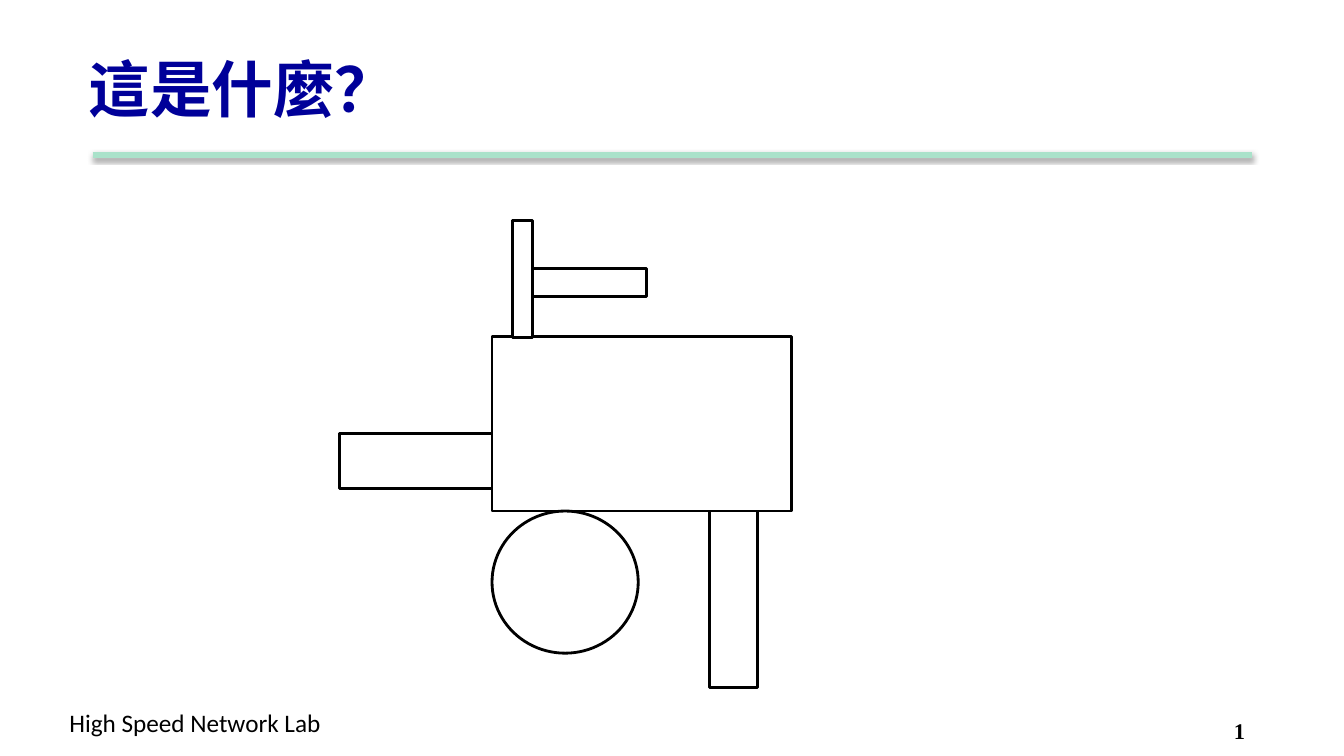
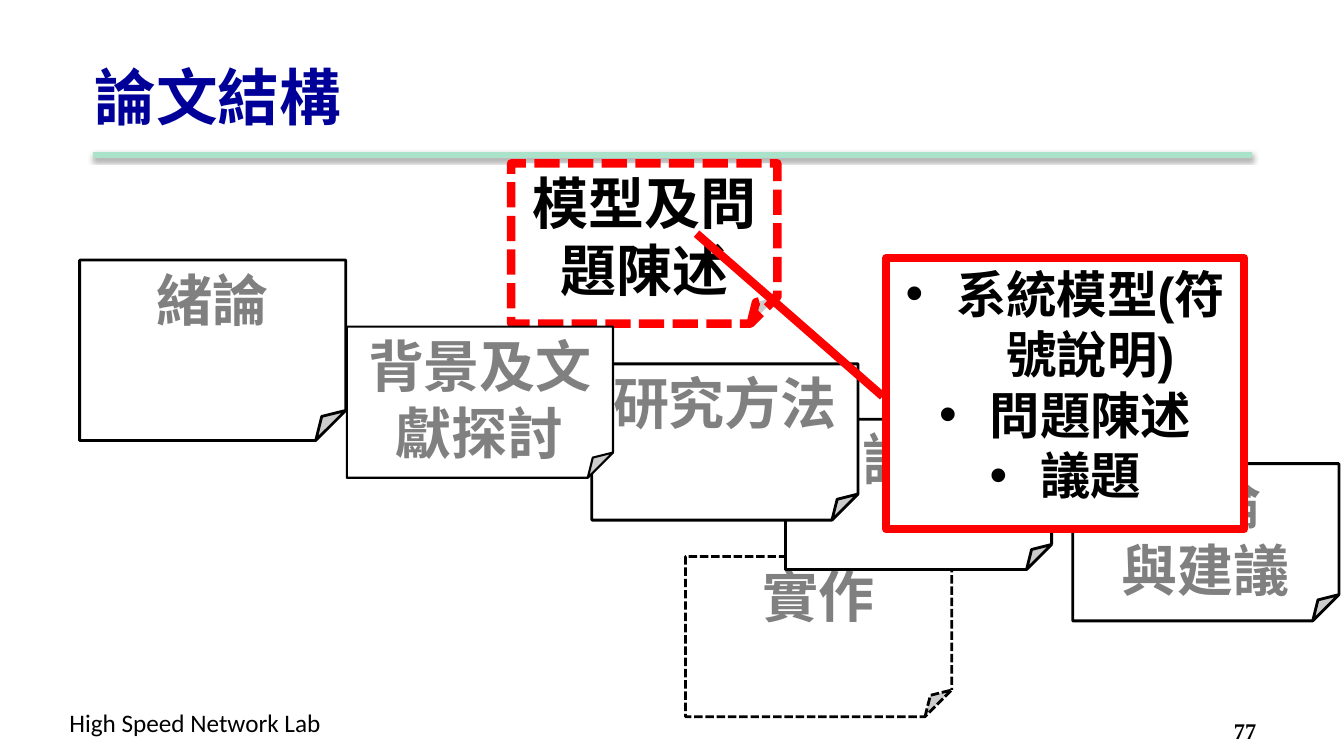
from dataclasses import dataclass

from lxml import etree
from pptx import Presentation
from pptx import util as u
from pptx.dml import color
from pptx.enum import dml, shapes, text
from pptx.oxml import ns

KIND = shapes.MSO_SHAPE


@dataclass(frozen=True)
class Theme:
    ink: str = "000000"
    paper: str = "FFFFFF"
    navy: str = "000099"
    mint: str = "AAE2CA"
    dim: str = "808080"
    red: str = "FF0000"
    serif: str = "Times New Roman"
    sans: str = "Arial"
    foot: str = "Calibri"
    title: int = 44
    note: int = 40
    point: int = 36
    small: int = 18
    page: int = 16


T = Theme()


def rgb(code):
    return color.RGBColor.from_string(code)


def sub(parent, tag, **attrs):
    return etree.SubElement(parent, ns.qn(tag), attrs)


def write(shape, lines, size, font, tint=T.ink, bold=True, align=None,
          anchor=text.MSO_ANCHOR.TOP, wrap=True, bullet=None):
    frame = shape.text_frame
    frame.word_wrap = wrap
    frame.vertical_anchor = anchor
    frame.text = lines
    for para in frame.paragraphs:
        para.alignment = align
        if bullet:
            props = para._p.get_or_add_pPr()
            props.set("marL", str(u.Inches(0.5)))
            props.set("indent", str(u.Inches(-0.5)))
            sub(props, "a:buFont", typeface=T.sans)
            sub(props, "a:buChar", char=bullet)
        for run in para.runs:
            run.font.size = u.Pt(size)
            run.font.name = font
            run.font.bold = bold
            run.font.color.rgb = rgb(tint)


class Deck:
    def __init__(self):
        self.prs = Presentation()
        self.prs.slide_width = u.Inches(13.33)
        self.prs.slide_height = u.Inches(7.5)
        self.slide = None

    def page(self, title, number, left, top):
        self.slide = self.prs.slides.add_slide(self.prs.slide_layouts[6])
        self.rule()
        self.label("High Speed Network Lab", (0.59, 6.97, 2.79, 0.4),
                   size=T.small, font=T.foot, bold=False, wrap=False)
        self.label(number, (12.14, 7.07, 0.99, 0.3),
                   size=T.page, font=T.serif)
        self.label(title, (left, top, 11.33, 1.25), size=T.title,
                   font=T.serif, tint=T.navy, anchor=text.MSO_ANCHOR.MIDDLE)

    def rule(self):
        line = self.slide.shapes.add_connector(
            shapes.MSO_CONNECTOR.STRAIGHT,
            *map(u.Inches, (0.92, 1.54, 12.42, 1.54)))
        line.line.color.rgb = rgb(T.mint)
        line.line.width = u.Pt(4.5)
        effects = sub(line._element.spPr, "a:effectLst")
        shade = sub(effects, "a:outerShdw", blurRad=str(u.Pt(3.1)),
                    dist=str(u.Pt(1.6)), dir="5400000", rotWithShape="0")
        tone = sub(shade, "a:srgbClr", val=T.ink)
        sub(tone, "a:alpha", val="38000")

    def label(self, words, box, **style):
        area = self.slide.shapes.add_textbox(*map(u.Inches, box))
        write(area, words, **style)

    def shape(self, kind, box, edge=T.ink, width=2, dash=False):
        item = self.slide.shapes.add_shape(kind, *map(u.Inches, box))
        item.shadow.inherit = False
        item.fill.solid()
        item.fill.fore_color.rgb = rgb(T.paper)
        item.line.color.rgb = rgb(edge)
        item.line.width = u.Pt(width)
        if dash:
            item.line.dash_style = dml.MSO_LINE.SQUARE_DOT
        return item

    def note(self, words, left, top, height, tint=T.dim, **look):
        item = self.shape(KIND.FOLDED_CORNER, (left, top, 2.64, height), **look)
        write(item, words, T.note, T.sans, tint, align=text.PP_ALIGN.CENTER)

    def callout(self, words, box, bends):
        item = self.shape(KIND.LINE_CALLOUT_1, box, edge=T.red, width=6)
        for spot, bend in enumerate(bends):
            item.adjustments[spot] = bend
        write(item, words, T.point, T.sans,
              align=text.PP_ALIGN.CENTER, bullet="•")


def puzzle(deck):
    deck.page("這是什麼？", "1", 0.78, 0.25)
    deck.shape(KIND.RECTANGLE, (4.88, 3.34, 2.97, 1.73))
    deck.shape(KIND.OVAL, (4.88, 5.07, 1.45, 1.41))
    for box in ((3.37, 4.3, 1.51, 0.55), (5.18, 2.66, 1.23, 0.28),
                (5.08, 2.19, 0.2, 1.16), (7.04, 5.07, 0.47, 1.75)):
        deck.shape(KIND.RECTANGLE, box)


def outline(deck):
    deck.page("論文結構", "77", 0.84, 0.33)
    deck.note("實作", 6.8, 5.52, 1.59, dash=True)
    deck.note("模型及問題陳述", 5.07, 1.62, 1.59, T.ink,
              edge=T.red, width=6, dash=True)
    deck.note("結論\n與建議", 10.64, 4.6, 1.56)
    deck.note("評估", 7.79, 4.16, 1.49)
    deck.note("研究方法", 5.87, 3.61, 1.55)
    deck.note("背景及文獻探討", 3.44, 3.24, 1.5, width=1.5)
    deck.note("緒論", 0.79, 2.58, 1.79)
    deck.callout("系統模型(符號說明)\n問題陳述\n議題",
                 (8.79, 2.56, 3.55, 2.69), (0.51, -0.01, -0.09, -0.53))


def main():
    deck = Deck()
    puzzle(deck)
    outline(deck)
    deck.prs.save("out.pptx")


if __name__ == "__main__":
    main()
